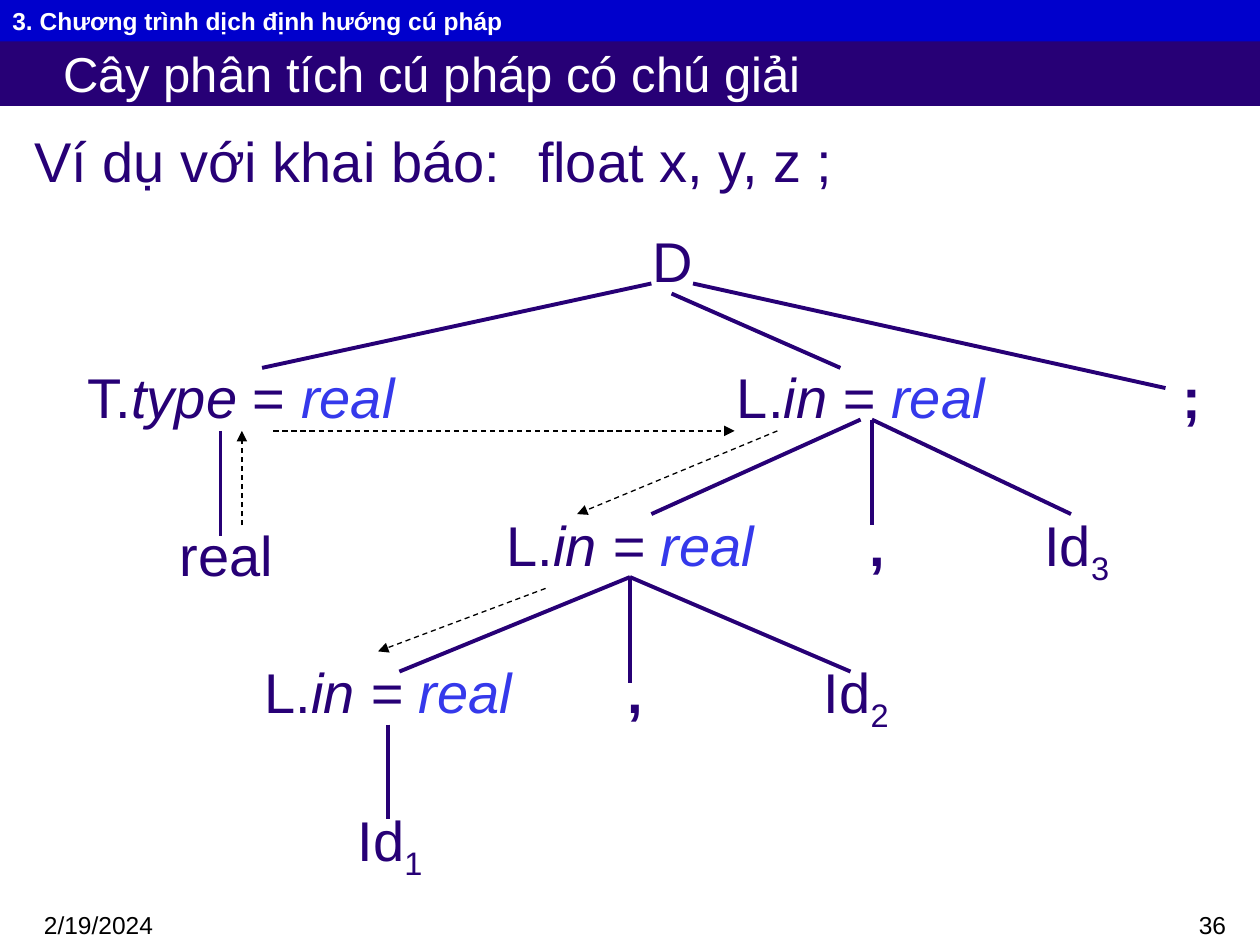
from lxml import etree
from pptx import Presentation
from pptx import util as u
from pptx.dml.color import RGBColor
from pptx.enum import dml, shapes, text
from pptx.oxml.ns import qn

NAVY = RGBColor(0x27, 0x00, 0x76)
BLUE = RGBColor(0x00, 0x00, 0xCC)
SKY = RGBColor(0x35, 0x39, 0xEB)
BLACK = RGBColor(0, 0, 0)
WHITE = RGBColor(255, 255, 255)

LEFT, MID, RIGHT = text.PP_ALIGN.LEFT, text.PP_ALIGN.CENTER, text.PP_ALIGN.RIGHT
TOP, CENTRE = text.MSO_ANCHOR.TOP, text.MSO_ANCHOR.MIDDLE

BASE = {"name": "Arial", "size": 32, "color": NAVY}
SMALL = {"size": 14, "color": BLACK}
ITAL = {"italic": True}
BOLD = {"bold": True}
REAL = ("real", {"italic": True, "color": SKY})


class Page:
    def __init__(self, deck):
        self.slide = deck.slides.add_slide(deck.slide_layouts[1])
        self.tree = self.slide.shapes.add_group_shape()
        self.flow = self.slide.shapes.add_group_shape()

    def place(self, shape, box):
        for key, val in zip(("left", "top", "width", "height"), box):
            setattr(shape, key, u.Inches(val))

    def letter(self, shape, runs, align=LEFT, anchor=TOP, pad=(0.1, 0.05), tab=None):
        frame = shape.text_frame
        frame.word_wrap = True
        frame.auto_size = text.MSO_AUTO_SIZE.NONE
        frame.vertical_anchor = anchor
        frame.margin_left, frame.margin_right = u.Inches(pad[0]), u.Inches(0.1)
        frame.margin_top = frame.margin_bottom = u.Inches(pad[1])
        para = frame.paragraphs[0]
        para.alignment = align
        para.space_before = u.Pt(0)
        if tab:
            prop = para._p.get_or_add_pPr()
            prop.set("marL", "0")
            prop.set("indent", "0")
            etree.SubElement(prop, qn("a:buNone"))
            stops = etree.SubElement(prop, qn("a:tabLst"))
            etree.SubElement(stops, qn("a:tab"), pos=str(u.Inches(tab)), algn="l")
        for words, style in runs:
            run = para.add_run()
            run.text = words
            for key, val in {**BASE, **style}.items():
                if key == "color":
                    run.font.color.rgb = val
                elif key == "size":
                    run.font.size = u.Pt(val)
                elif key == "base":
                    run._r.get_or_add_rPr().set("baseline", str(val * 1000))
                else:
                    setattr(run.font, key, val)

    def fill(self, shape, color):
        shape.fill.solid()
        shape.fill.fore_color.rgb = color

    def title(self, box, words):
        shape = self.slide.shapes.title
        self.place(shape, box)
        self.fill(shape, NAVY)
        self.letter(shape, [(words, {"size": 28, "color": WHITE})], anchor=CENTRE, pad=(0.5, 0))

    def body(self, box, words, tab):
        shape = self.slide.placeholders[1]
        self.place(shape, box)
        self.letter(shape, [(words, {})], pad=(0.1, 0), tab=tab)

    def bar(self, box, words):
        shape = self.slide.shapes.add_shape(shapes.MSO_SHAPE.RECTANGLE, *map(u.Inches, box))
        shape.shadow.inherit = False
        self.fill(shape, BLUE)
        shape.line.fill.background()
        self.letter(shape, [(words, {"size": 14, "color": WHITE, "bold": True})], anchor=CENTRE)

    def label(self, box, runs, align=LEFT, home=None):
        home = home or self.slide
        self.letter(home.shapes.add_textbox(*map(u.Inches, box)), runs, align)

    def node(self, x, y, wide, runs, align=MID):
        self.label((x, y, wide, 0.63), runs, align, self.tree)

    def line(self, home, ends, color, width):
        link = home.shapes.add_connector(shapes.MSO_CONNECTOR.STRAIGHT, *map(u.Inches, ends))
        link.line.color.rgb = color
        link.line.width = u.Pt(width)
        etree.SubElement(link._element.spPr, qn("a:effectLst"))
        return link

    def edge(self, *ends):
        self.line(self.tree, ends, NAVY, 2.25)

    def arrow(self, *ends):
        link = self.line(self.flow, ends, BLACK, 0.75)
        link.line.dash_style = dml.MSO_LINE.DASH
        stroke = link._element.spPr.find(qn("a:ln"))
        etree.SubElement(stroke, qn("a:tailEnd"), type="triangle")


def main():
    deck = Presentation()
    deck.slide_width, deck.slide_height = u.Inches(10), u.Inches(7.5)
    page = Page(deck)

    # Heading, example and footer
    page.title((0, 0.32, 10, 0.52), "Cây phân tích cú pháp có chú giải")
    page.body((0.17, 1, 9.46, 0.67), "Ví dụ với khai báo:\tfloat x, y, z ;", 4.06)
    page.bar((0, 0, 10, 0.33), "3. Chương trình dịch định hướng cú pháp")
    page.label((0.25, 7.17, 1.92, 0.33), [("2/19/2024", SMALL)])
    page.label((7.75, 7.17, 2.08, 0.33), [("36", SMALL)], RIGHT)

    # Tree nodes
    page.node(5.08, 1.75, 0.58, [("D", {})], LEFT)
    page.node(0.5, 2.83, 2.83, [("T.", {}), ("type", ITAL), (" = ", {}), REAL])
    page.node(1.33, 4.08, 1, [("real", {})], LEFT)
    for x, y in ((5.75, 2.83), (3.92, 4), (2, 5.17)):
        page.node(x, y, 2.25, [("L.", {}), ("in = ", ITAL), REAL], LEFT)
    for mark, x, y in ((";", 9.17, 2.83), (",", 6.67, 4), (",", 4.75, 5.17)):
        page.node(x, y, 0.58, [(mark, BOLD)])
    for num, x, y in (("1", 2.72, 6.34), ("2", 6.42, 5.17), ("3", 8.17, 4)):
        page.node(x, y, 0.75, [("Id", {}), (num, {"base": -25})])

    # Tree edges
    for ends in (
        (5.17, 2.25, 2.08, 2.92), (5.33, 2.33, 6.67, 2.92), (5.5, 2.25, 9.25, 3.08),
        (1.75, 3.42, 1.75, 4.25),
        (6.83, 3.33, 5.17, 4.08), (6.92, 3.33, 6.92, 4.17), (6.92, 3.33, 8.5, 4.08),
        (5, 4.58, 3.17, 5.33), (5, 4.58, 5, 5.42), (5, 4.58, 6.75, 5.33),
        (3.08, 5.75, 3.08, 6.5),
    ):
        page.edge(*ends)

    # Flow of attribute values
    for ends in (
        (1.92, 4.17, 1.92, 3.42), (2.17, 3.42, 5.83, 3.42),
        (6.17, 3.42, 4.58, 4.08), (4.33, 4.67, 3, 5.17),
    ):
        page.arrow(*ends)

    deck.save("out.pptx")


if __name__ == "__main__":
    main()
